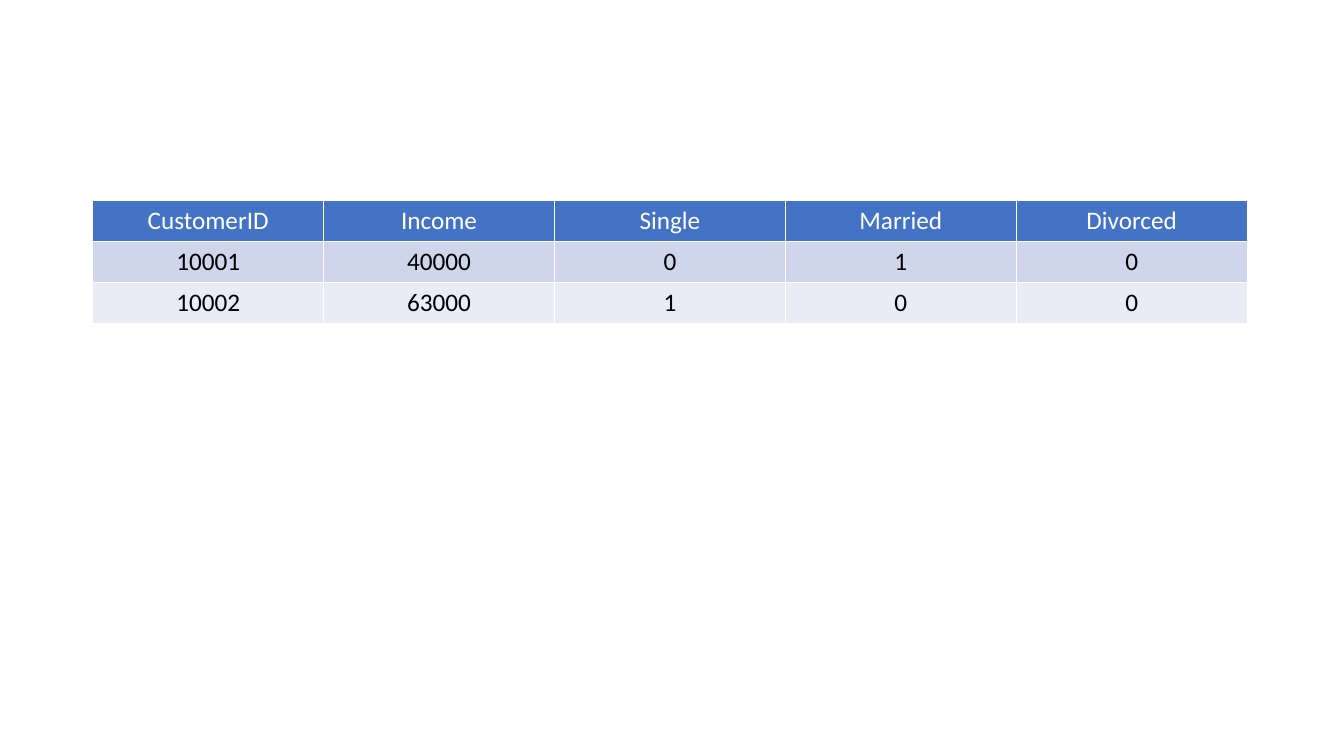
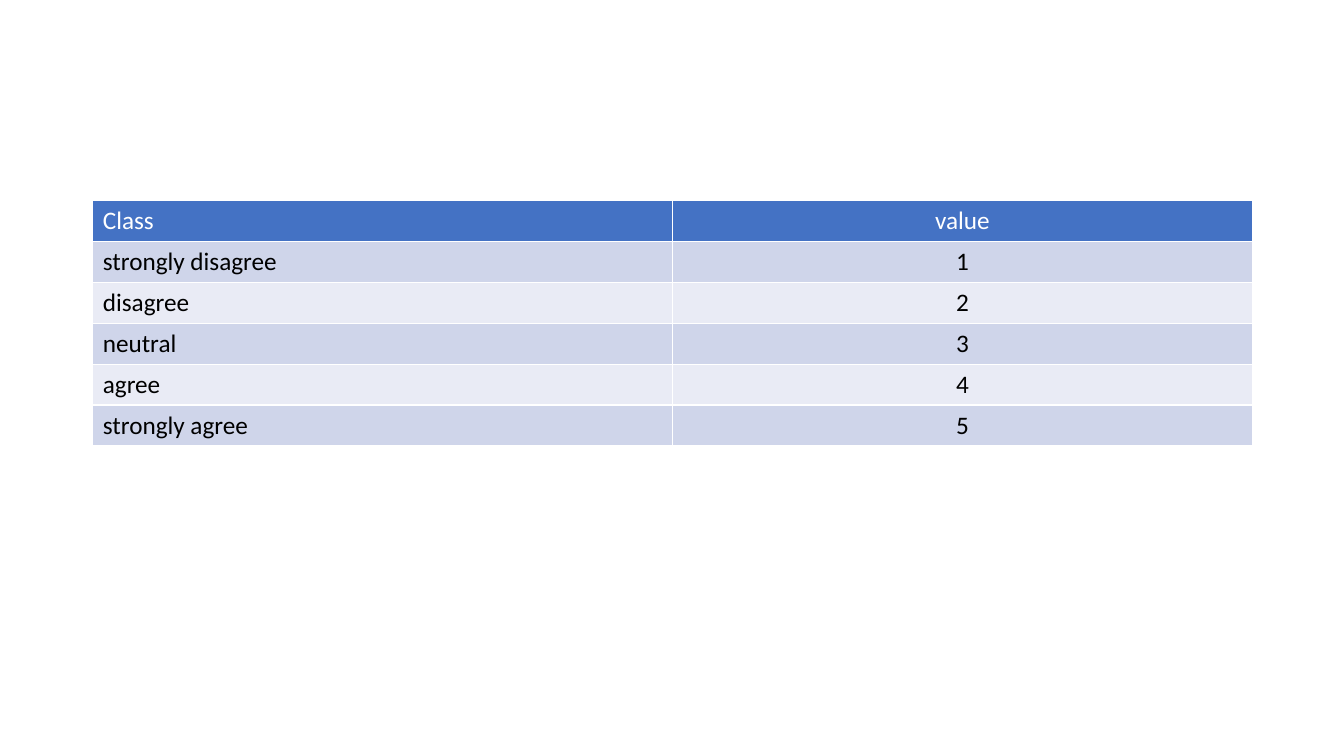
from pptx import Presentation
from pptx.dml.color import RGBColor
from pptx.enum import text
from pptx.util import Inches, Pt

LEFT, CENTER = text.PP_ALIGN.LEFT, text.PP_ALIGN.CENTER

# Content: one table per slide
TABLES = [
    {
        "col_width": 2.29,
        "aligns": [CENTER] * 5,
        "rows": [
            ("CustomerID", "Income", "Single", "Married", "Divorced"),
            ("10001", "40000", "0", "1", "0"),
            ("10002", "63000", "1", "0", "0"),
        ],
    },
    {
        "col_width": 5.75,
        "aligns": [LEFT, CENTER],
        "rows": [
            ("Class", "value"),
            ("strongly disagree", "1"),
            ("disagree", "2"),
            ("neutral", "3"),
            ("agree", "4"),
            ("strongly agree", "5"),
        ],
    },
]


# Shared look
class Theme:
    font = "Calibri"
    size = Pt(18)
    header_fill = RGBColor.from_string("4472C4")
    header_text = RGBColor.from_string("FFFFFF")
    body_text = RGBColor.from_string("000000")
    bands = [RGBColor.from_string(c) for c in ("CFD5EA", "E9EBF5")]
    left, top, row_height = 0.92, 1.99, 0.4


def style_cell(cell, value, row, align):
    header = row == 0
    cell.fill.solid()
    cell.fill.fore_color.rgb = Theme.header_fill if header else Theme.bands[(row - 1) % 2]
    cell.text = value
    p = cell.text_frame.paragraphs[0]
    p.alignment = align
    p.font.name, p.font.size, p.font.bold = Theme.font, Theme.size, False
    p.font.color.rgb = Theme.header_text if header else Theme.body_text


def add_table_slide(prs, rows, aligns, col_width):
    s = prs.slides.add_slide(prs.slide_layouts[6])
    # The default table style supplies the white cell borders
    table = s.shapes.add_table(
        len(rows), len(aligns), Inches(Theme.left), Inches(Theme.top),
        Inches(col_width * len(aligns)), Inches(Theme.row_height * len(rows)),
    ).table
    for i, row in enumerate(rows):
        for j, (value, align) in enumerate(zip(row, aligns)):
            style_cell(table.cell(i, j), value, i, align)


def main():
    prs = Presentation()
    prs.slide_width, prs.slide_height = Inches(13.33), Inches(7.5)
    for content in TABLES:
        add_table_slide(prs, **content)
    prs.save("out.pptx")


if __name__ == "__main__":
    main()
